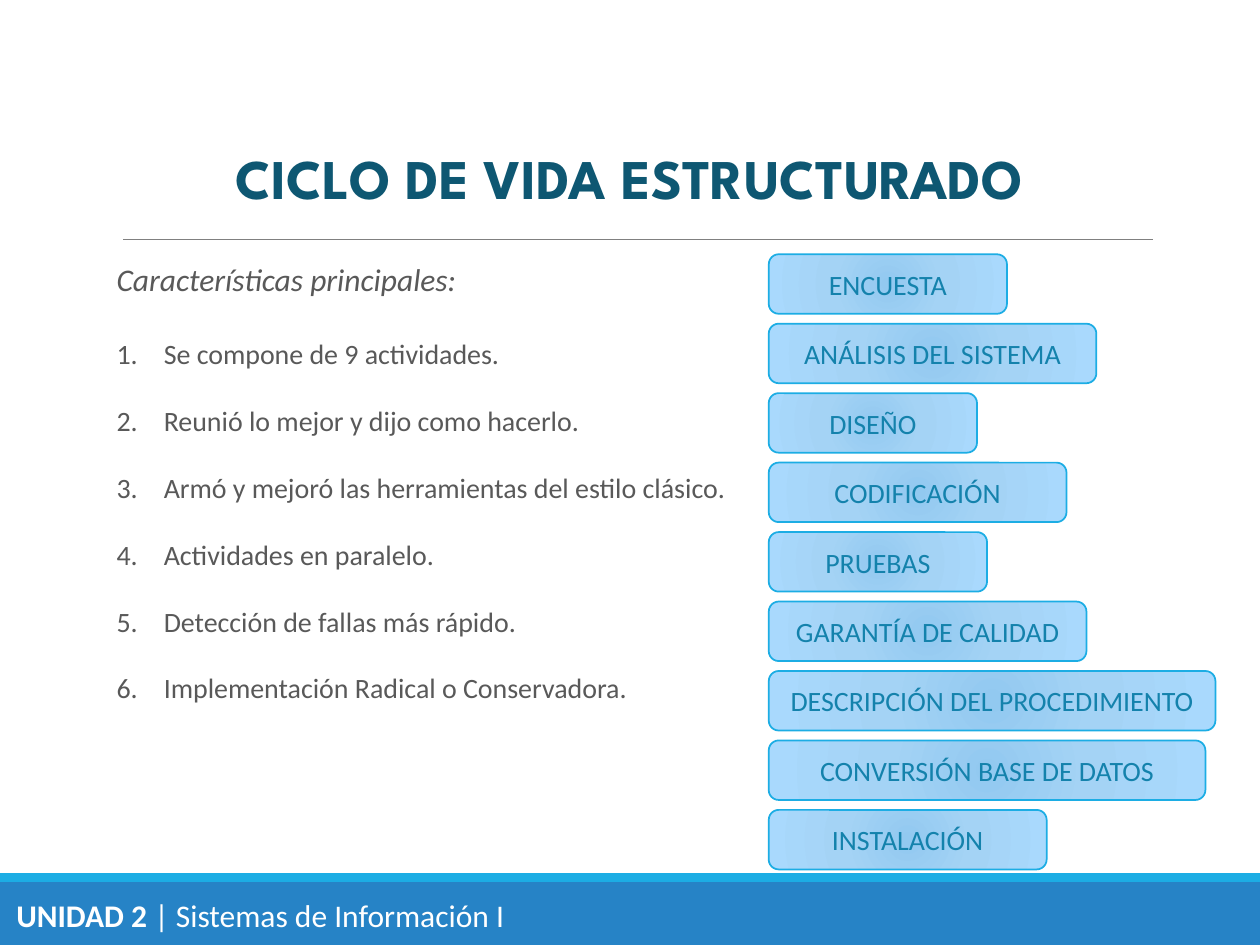
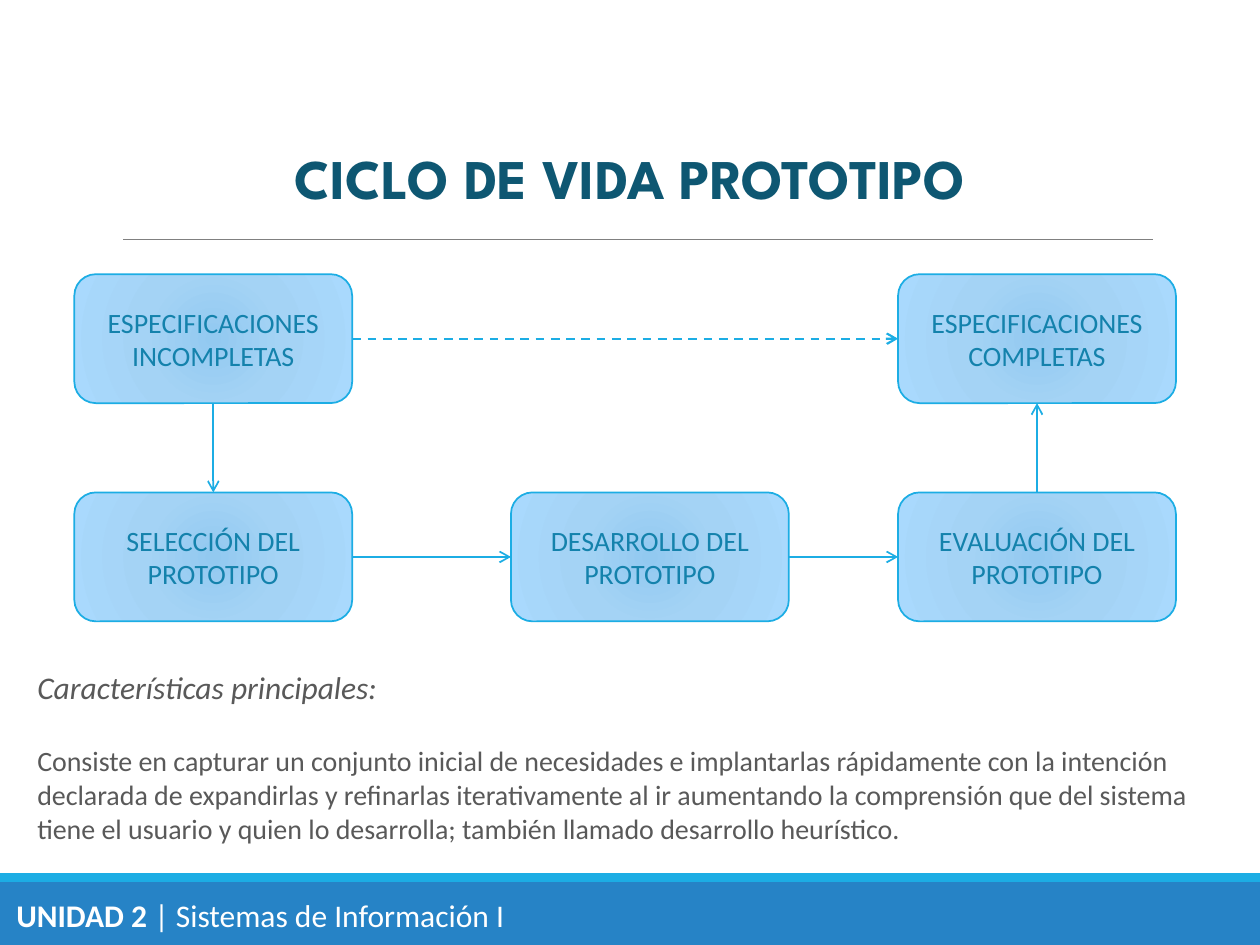
from dataclasses import dataclass

from lxml import etree
from pptx import Presentation
from pptx.dml.color import RGBColor
from pptx.enum.dml import MSO_LINE_DASH_STYLE
from pptx.enum.shapes import MSO_CONNECTOR, MSO_SHAPE
from pptx.enum.text import MSO_ANCHOR, MSO_AUTO_SIZE, PP_ALIGN
from pptx.oxml import parse_xml
from pptx.oxml.ns import nsdecls, qn
from pptx.shapes.autoshape import Shape
from pptx.slide import Slide
from pptx.text.text import TextFrame
from pptx.util import Pt

RECTANGLE, ROUNDED = MSO_SHAPE.RECTANGLE, MSO_SHAPE.ROUNDED_RECTANGLE
STRAIGHT, DASH = MSO_CONNECTOR.STRAIGHT, MSO_LINE_DASH_STYLE.DASH
LEFT, CENTER = PP_ALIGN.LEFT, PP_ALIGN.CENTER
MIDDLE = MSO_ANCHOR.MIDDLE
GROW = MSO_AUTO_SIZE.SHAPE_TO_FIT_TEXT
TOP_SIDE, LEFT_SIDE, BOTTOM_SIDE, RIGHT_SIDE = range(4)

# Colours
BLUE = RGBColor(0x26, 0x83, 0xC6)
CYAN = RGBColor(0x1C, 0xAD, 0xE4)
GRAY = RGBColor(0x80, 0x80, 0x80)
TITLE_COLOR = RGBColor(0x0E, 0x57, 0x72)
BOX_TEXT = RGBColor(0x14, 0x82, 0xAC)
BODY_TEXT = RGBColor(0x59, 0x59, 0x59)
WHITE = RGBColor(0xFF, 0xFF, 0xFF)
BOX_GRADIENT = [
    (0, RGBColor(0x92, 0xC9, 0xF0)),
    (45, RGBColor(0xA4, 0xD3, 0xF5)),
    (100, RGBColor(0xA9, 0xD9, 0xFD)),
]

# Text formats
TITLE_FONT = {"name": "League Spartan", "size": Pt(32), "bold": True, "color": TITLE_COLOR}
BOX_FONT = {"name": "Calibri", "size": Pt(16), "color": BOX_TEXT}
HEADING_FONT = {"name": "Calibri", "size": Pt(18), "italic": True, "color": BODY_TEXT}
BODY_FONT = {"name": "Calibri", "size": Pt(16), "color": BODY_TEXT}
FOOTER_FONT = {"name": "Calibri", "size": Pt(18), "color": WHITE}
FOOTER_BOLD = {**FOOTER_FONT, "bold": True}

HEADING = "Características principales:"
HEADING_GAP = 22
ITEM_GAP = 19
NUMBER_INDENT = 27


@dataclass
class Area:
    left: float
    top: float
    width: float
    height: float

    def lengths(self) -> list[Pt]:
        return [Pt(value) for value in (self.left, self.top, self.width, self.height)]


@dataclass
class Step:
    text: str
    area: Area


@dataclass
class Arrow:
    start: str
    start_side: int
    end: str
    end_side: int
    dashed: bool = False


def add_text(frame: TextFrame, text: str, font: dict, new: bool = False,
             alignment: PP_ALIGN = LEFT, space_before: float = 0):
    """Append a run to the last paragraph, or to a new one."""
    paragraph = frame.add_paragraph() if new else frame.paragraphs[-1]
    paragraph.alignment = alignment
    paragraph.space_before = Pt(space_before)
    run = paragraph.add_run()
    run.text = text
    for name, value in font.items():
        if name == "color":
            run.font.color.rgb = value
        else:
            setattr(run.font, name, value)
    return paragraph


def add_text_frame(slide: Slide, area: Area, **settings) -> TextFrame:
    frame = slide.shapes.add_textbox(*area.lengths()).text_frame
    for name, value in {"word_wrap": True, **settings}.items():
        setattr(frame, name, value)
    return frame


def add_band(slide: Slide, area: Area, color: RGBColor) -> None:
    band = slide.shapes.add_shape(RECTANGLE, *area.lengths())
    band.shadow.inherit = False
    band.fill.solid()
    band.fill.fore_color.rgb = color
    band.line.fill.background()


def add_line(slide: Slide, color: RGBColor, width: float, ends: tuple = (0, 0, 0, 0)):
    line = slide.shapes.add_connector(STRAIGHT, *map(Pt, ends))
    line.line.color.rgb = color
    line.line.width = Pt(width)
    etree.SubElement(line._element.spPr, qn("a:effectLst"))
    return line


def fill_radial(shape: Shape) -> None:
    stops = "".join(
        f'<a:gs pos="{position * 1000}"><a:srgbClr val="{color}"/></a:gs>'
        for position, color in BOX_GRADIENT
    )
    gradient = parse_xml(
        f'<a:gradFill {nsdecls("a")} rotWithShape="1"><a:gsLst>{stops}</a:gsLst>'
        '<a:path path="circle">'
        '<a:fillToRect l="100000" t="100000" r="100000" b="100000"/>'
        "</a:path></a:gradFill>"
    )
    shape.fill.background()
    properties = shape._element.spPr
    properties.replace(properties.find(qn("a:noFill")), gradient)


def add_step(slide: Slide, step: Step) -> Shape:
    box = slide.shapes.add_shape(ROUNDED, *step.area.lengths())
    box.shadow.inherit = False
    fill_radial(box)
    box.line.color.rgb = CYAN
    box.line.width = Pt(1)
    box.text_frame.word_wrap = True
    box.text_frame.vertical_anchor = MIDDLE
    add_text(box.text_frame, step.text, BOX_FONT, alignment=CENTER)
    return box


def add_arrow(slide: Slide, arrow: Arrow, boxes: dict[str, Shape]) -> None:
    line = add_line(slide, CYAN, 1.25 if arrow.dashed else 1)
    line.begin_connect(boxes[arrow.start], arrow.start_side)
    line.end_connect(boxes[arrow.end], arrow.end_side)
    if arrow.dashed:
        line.line.dash_style = DASH
    etree.SubElement(line.line._get_or_add_ln(), qn("a:tailEnd"), type="arrow")


def number_paragraph(paragraph) -> None:
    properties = paragraph._p.get_or_add_pPr()
    properties.set("marL", str(Pt(NUMBER_INDENT)))
    properties.set("indent", str(-Pt(NUMBER_INDENT)))
    etree.SubElement(properties, qn("a:buFont"), typeface="+mj-lt")
    etree.SubElement(properties, qn("a:buAutoNum"), type="arabicPeriod")


def add_base_slide(presentation: Presentation, title: str) -> Slide:
    """Blank slide with bands, rule, title and footer."""
    slide = presentation.slides.add_slide(presentation.slide_layouts[6])
    add_band(slide, Area(0, 504, 720, 36), BLUE)
    add_band(slide, Area(0, 499, 720, 5), CYAN)
    add_line(slide, GRAY, 0.5, (70.3, 136.8, 658.8, 136.8))
    title_frame = add_text_frame(slide, Area(0, 49, 720, 491), margin_top=Pt(32.7))
    add_text(title_frame, title, TITLE_FONT, alignment=CENTER)
    footer = add_text_frame(slide, Area(2.2, 508.5, 296.6, 29), word_wrap=False, auto_size=GROW)
    add_text(footer, "UNIDAD 2 ", FOOTER_BOLD)
    add_text(footer, "| Sistemas de Información I", FOOTER_FONT)
    return slide


def build_structured(presentation: Presentation) -> None:
    slide = add_base_slide(presentation, "CICLO DE VIDA ESTRUCTURADO")

    # Column of activities
    activities = {
        "ENCUESTA": 136.1,
        "ANÁLISIS DEL SISTEMA": 187.2,
        "DISEÑO": 119,
        "CODIFICACIÓN": 170.1,
        "PRUEBAS": 124.7,
        "GARANTÍA DE CALIDAD": 181.5,
        "DESCRIPCIÓN DEL PROCEDIMIENTO": 255.2,
        "CONVERSIÓN BASE DE DATOS": 249.5,
        "INSTALACIÓN": 158.8,
    }
    for index, (text, width) in enumerate(activities.items()):
        add_step(slide, Step(text, Area(439.3, 145.3 + 39.69 * index, width, 34)))

    # Numbered features
    features = [
        "Se compone de 9 actividades.",
        "Reunió lo mejor y dijo como hacerlo.",
        "Armó y mejoró las herramientas del estilo clásico.",
        "Actividades en paralelo.",
        "Detección de fallas más rápido.",
        "Implementación Radical o Conservadora.",
    ]
    frame = add_text_frame(slide, Area(59.5, 145.3, 368.6, 283.5), auto_size=GROW)
    add_text(frame, HEADING, HEADING_FONT)
    for index, feature in enumerate(features):
        gap = ITEM_GAP if index else HEADING_GAP
        number_paragraph(add_text(frame, feature, BODY_FONT, new=True, space_before=gap))


def build_prototype(presentation: Presentation) -> None:
    slide = add_base_slide(presentation, "CICLO DE VIDA PROTOTIPO")

    # Flow of specifications and prototype
    left, center, right = 42.5, 292, 513.2
    upper, lower = 156.7, 281.4
    places = {
        "ESPECIFICACIONES INCOMPLETAS": (left, upper),
        "SELECCIÓN DEL PROTOTIPO": (left, lower),
        "ESPECIFICACIONES COMPLETAS": (right, upper),
        "DESARROLLO DEL PROTOTIPO": (center, lower),
        "EVALUACIÓN DEL PROTOTIPO": (right, lower),
    }
    boxes = {
        text: add_step(slide, Step(text, Area(*place, 158.8, 73.7)))
        for text, place in places.items()
    }
    incomplete, selection, complete, development, evaluation = places
    for arrow in (
        Arrow(incomplete, BOTTOM_SIDE, selection, TOP_SIDE),
        Arrow(selection, RIGHT_SIDE, development, LEFT_SIDE),
        Arrow(development, RIGHT_SIDE, evaluation, LEFT_SIDE),
        Arrow(evaluation, TOP_SIDE, complete, BOTTOM_SIDE),
        Arrow(incomplete, RIGHT_SIDE, complete, LEFT_SIDE, dashed=True),
    ):
        add_arrow(slide, arrow, boxes)

    # Description
    frame = add_text_frame(slide, Area(14.2, 378, 686, 108.7), auto_size=GROW)
    add_text(frame, HEADING, HEADING_FONT)
    add_text(
        frame,
        "Consiste en capturar un conjunto inicial de necesidades e implantarlas "
        "rápidamente con la intención declarada de expandirlas y refinarlas "
        "iterativamente al ir aumentando la comprensión que del sistema tiene el "
        "usuario y quien lo desarrolla; también llamado desarrollo heurístico.",
        BODY_FONT, new=True, space_before=HEADING_GAP,
    )


def main() -> None:
    presentation = Presentation()
    presentation.slide_width, presentation.slide_height = Pt(720), Pt(540)
    build_structured(presentation)
    build_prototype(presentation)
    presentation.save("out.pptx")


if __name__ == "__main__":
    main()
